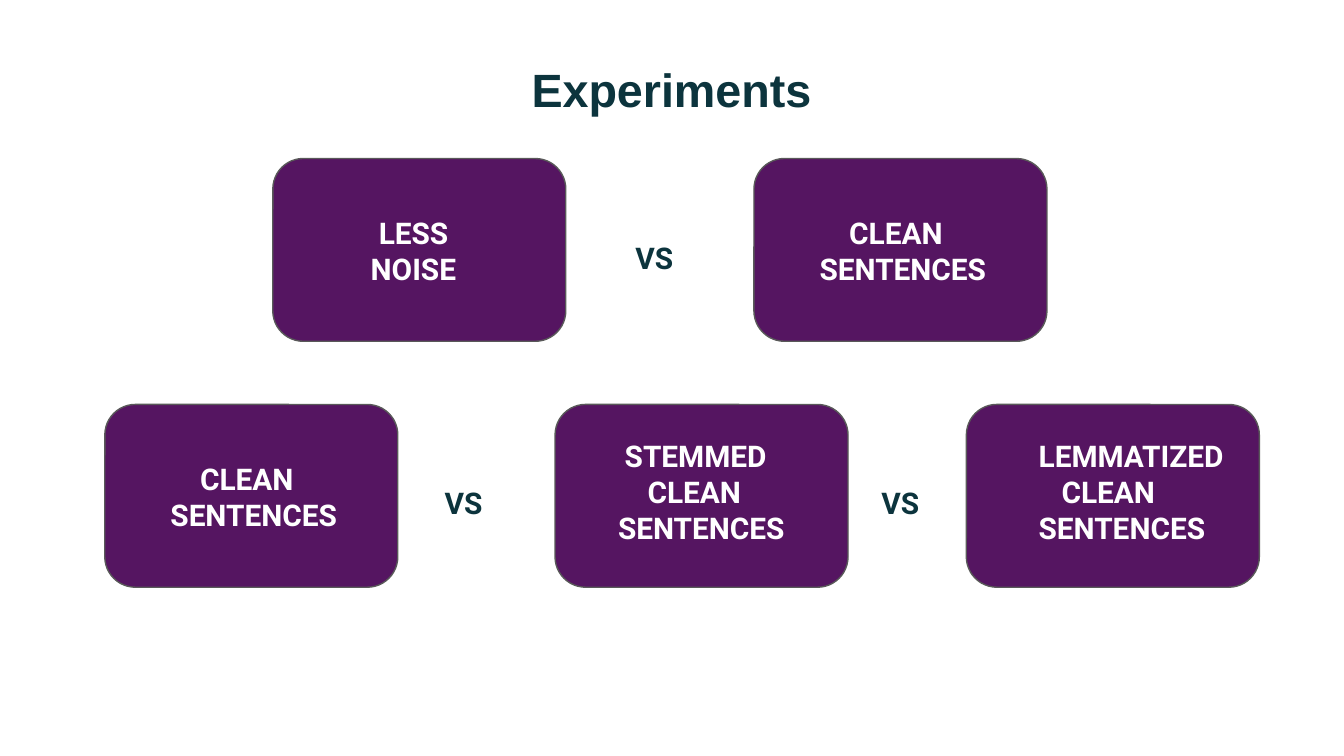
from pptx import Presentation
from pptx.dml.color import RGBColor
from pptx.enum.shapes import MSO_SHAPE as SHAPE
from pptx.enum.text import PP_ALIGN as ALIGN
from pptx.util import Inches, Pt

COLORS = {"ink": "0C343D", "card": "551561", "border": "595959", "white": "FFFFFF"}
CARD_W, CARD_H = 2.18, 1.36
VS_W, VS_H = 0.65, 0.47
LABEL_W = 1.89

# Each line is (first-line indent in inches, text).
CLEAN = [(0.22, "CLEAN SENTENCES")]
LESS_NOISE = [(0.22, "LESS"), (0.16, "NOISE")]
STEMMED = [(0.05, "STEMMED"), (0.22, "CLEAN SENTENCES")]
LEMMATIZED = [(0.05, "LEMMATIZED"), (0.22, "CLEAN"), (0.05, "SENTENCES")]

# Row top, cards as (left, label dx, label dy, label height, lines), VS lefts.
ROWS = [
    (1.18, [(2.03, 0.47, 0.32, 0.74, LESS_NOISE),
            (5.61, 0.39, 0.32, 0.74, CLEAN)], [4.63]),
    (3.01, [(0.78, 0.39, 0.32, 0.74, CLEAN),
            (4.13, 0.37, 0.15, 1.01, STEMMED),
            (7.19, 0.39, 0.15, 1.01, LEMMATIZED)], [3.21, 6.46]),
]


def rgb(name):
    return RGBColor.from_string(COLORS[name])


def add_text(slide, x, y, w, h, lines, color, size=16, font="Roboto", align=ALIGN.LEFT):
    box = slide.shapes.add_textbox(Inches(x), Inches(y), Inches(w), Inches(h))
    tf = box.text_frame
    tf.word_wrap = True
    tf.margin_left = tf.margin_right = tf.margin_top = tf.margin_bottom = Inches(0.1)
    tf.text = "\n".join(text for _, text in lines)
    for p, (indent, _) in zip(tf.paragraphs, lines):
        p.alignment = align
        if indent:
            pPr = p._p.get_or_add_pPr()
            pPr.set("marL", "0")
            pPr.set("indent", str(Inches(indent)))
        for r in p.runs:
            r.font.name, r.font.size, r.font.bold = font, Pt(size), True
            r.font.color.rgb = rgb(color)


def add_card(slide, x, y, label_dx, label_dy, label_h, lines):
    sp = slide.shapes.add_shape(SHAPE.ROUNDED_RECTANGLE, Inches(x), Inches(y),
                                Inches(CARD_W), Inches(CARD_H))
    sp.shadow.inherit = False
    sp.fill.solid()
    sp.fill.fore_color.rgb = rgb("card")
    sp.line.color.rgb = rgb("border")
    sp.line.width = Pt(0.75)
    add_text(slide, x + label_dx, y + label_dy, LABEL_W, label_h, lines, "white")


def add_comparison(slide, y, cards, vs_lefts):
    """Place one row of cards with a VS in each gap."""
    for x, *label in cards:
        add_card(slide, x, y, *label)
    for x in vs_lefts:
        add_text(slide, x, y + 0.5, VS_W, VS_H, [(0, "VS")], "ink")


def main():
    prs = Presentation()
    prs.slide_width = Inches(10)
    prs.slide_height = prs.slide_width * 9 // 16
    slide = prs.slides.add_slide(prs.slide_layouts[6])
    add_text(slide, 3.05, 0.35, 3.89, 0.62, [(0, "Experiments")], "ink",
             size=25, font="Arial", align=ALIGN.CENTER)
    for row in ROWS:
        add_comparison(slide, *row)
    prs.save("out.pptx")


if __name__ == "__main__":
    main()
